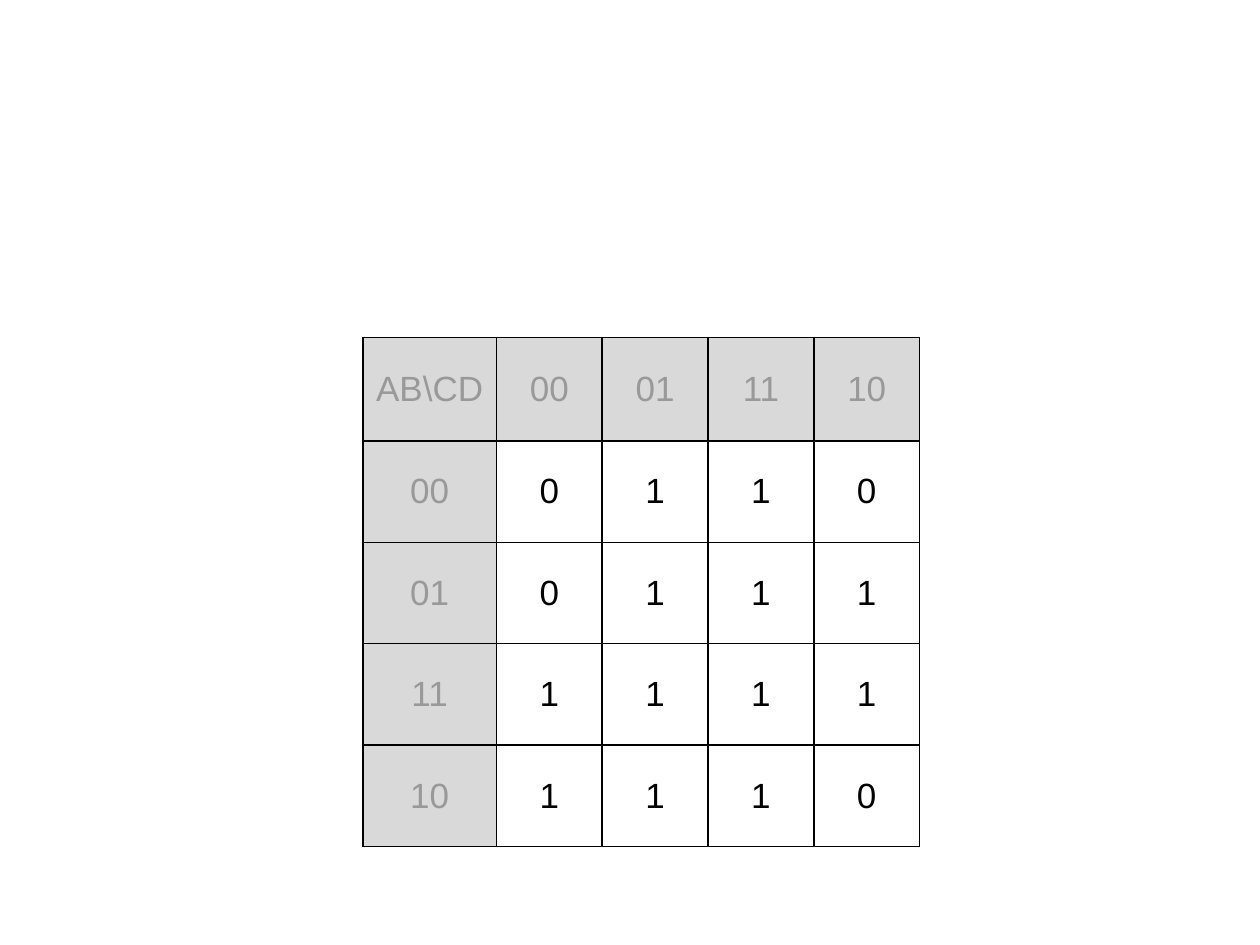
"""Build a slide with a four-variable Karnaugh map."""
import pptx
import pptx.dml.color
import pptx.enum.text
import pptx.oxml
import pptx.oxml.ns
import pptx.util
from pptx.util import Inches

CORNER = "AB\\CD"
GRAY_CODES = ["00", "01", "11", "10"]
OUTPUTS = ["0110", "0111", "1111", "1110"]

BLACK = pptx.dml.color.RGBColor(0x00, 0x00, 0x00)
HEADER_TEXT = pptx.dml.color.RGBColor(0x99, 0x99, 0x99)
HEADER_FILL = pptx.dml.color.RGBColor(0xD9, 0xD9, 0xD9)

LEFT, TOP = 2.88, 2.68
COLUMN_WIDTHS = [1.06] + [0.84] * 4
ROW_HEIGHTS = [0.82] + [0.805] * 4


def add_borders(cell):
    properties = cell._tc.get_or_add_tcPr()
    for side in ("lnL", "lnR", "lnT", "lnB"):
        properties.append(pptx.oxml.parse_xml(
            f'<a:{side} {pptx.oxml.ns.nsdecls("a")} w="{pptx.util.Pt(1)}">'
            f'<a:solidFill><a:srgbClr val="{BLACK}"/></a:solidFill>'
            f'</a:{side}>'))


def style_cell(cell, value, is_header):
    add_borders(cell)
    if is_header:
        cell.fill.solid()
        cell.fill.fore_color.rgb = HEADER_FILL
    else:
        cell.fill.background()
    cell.margin_left = cell.margin_right = Inches(0.05)
    cell.vertical_anchor = pptx.enum.text.MSO_ANCHOR.MIDDLE
    cell.text_frame.text = value
    paragraph = cell.text_frame.paragraphs[0]
    paragraph.alignment = pptx.enum.text.PP_ALIGN.CENTER
    font = paragraph.runs[0].font
    font.name = "Arial"
    font.size = pptx.util.Pt(20)
    font.bold = False
    font.color.rgb = HEADER_TEXT if is_header else BLACK


def main():
    presentation = pptx.Presentation()
    presentation.slide_width = Inches(10)
    presentation.slide_height = Inches(7.5)
    slide = presentation.slides.add_slide(presentation.slide_layouts[6])

    rows = [[CORNER, *GRAY_CODES]]
    rows += [[code, *bits] for code, bits in zip(GRAY_CODES, OUTPUTS)]
    karnaugh_map = slide.shapes.add_table(
        len(rows), len(rows[0]), Inches(LEFT), Inches(TOP),
        Inches(sum(COLUMN_WIDTHS)), Inches(sum(ROW_HEIGHTS))).table
    karnaugh_map.first_row = karnaugh_map.horz_banding = False

    for column, width in zip(karnaugh_map.columns, COLUMN_WIDTHS):
        column.width = Inches(width)
    for row, height in zip(karnaugh_map.rows, ROW_HEIGHTS):
        row.height = Inches(height)
    for r, values in enumerate(rows):
        for c, value in enumerate(values):
            style_cell(karnaugh_map.cell(r, c), value, r == 0 or c == 0)

    presentation.save("out.pptx")


if __name__ == "__main__":
    main()
